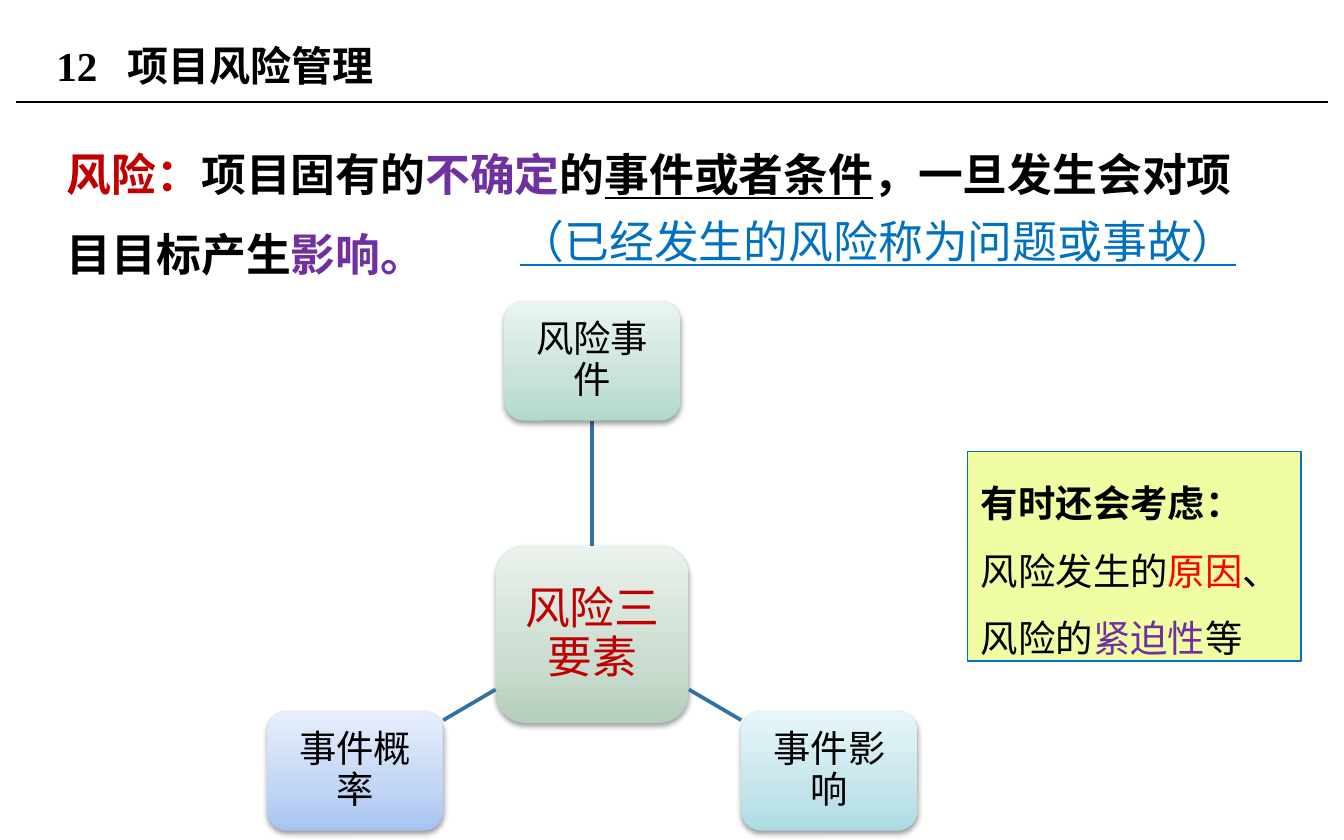
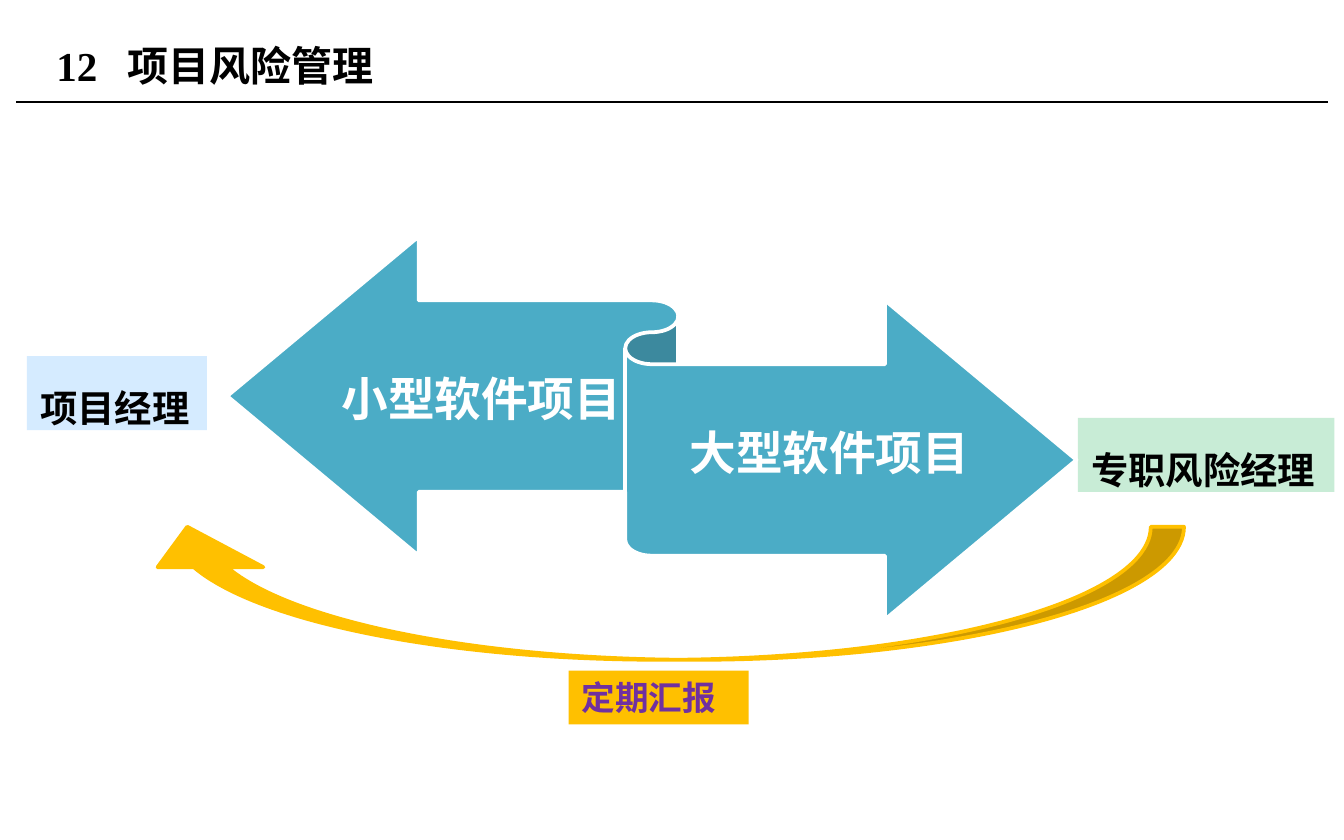
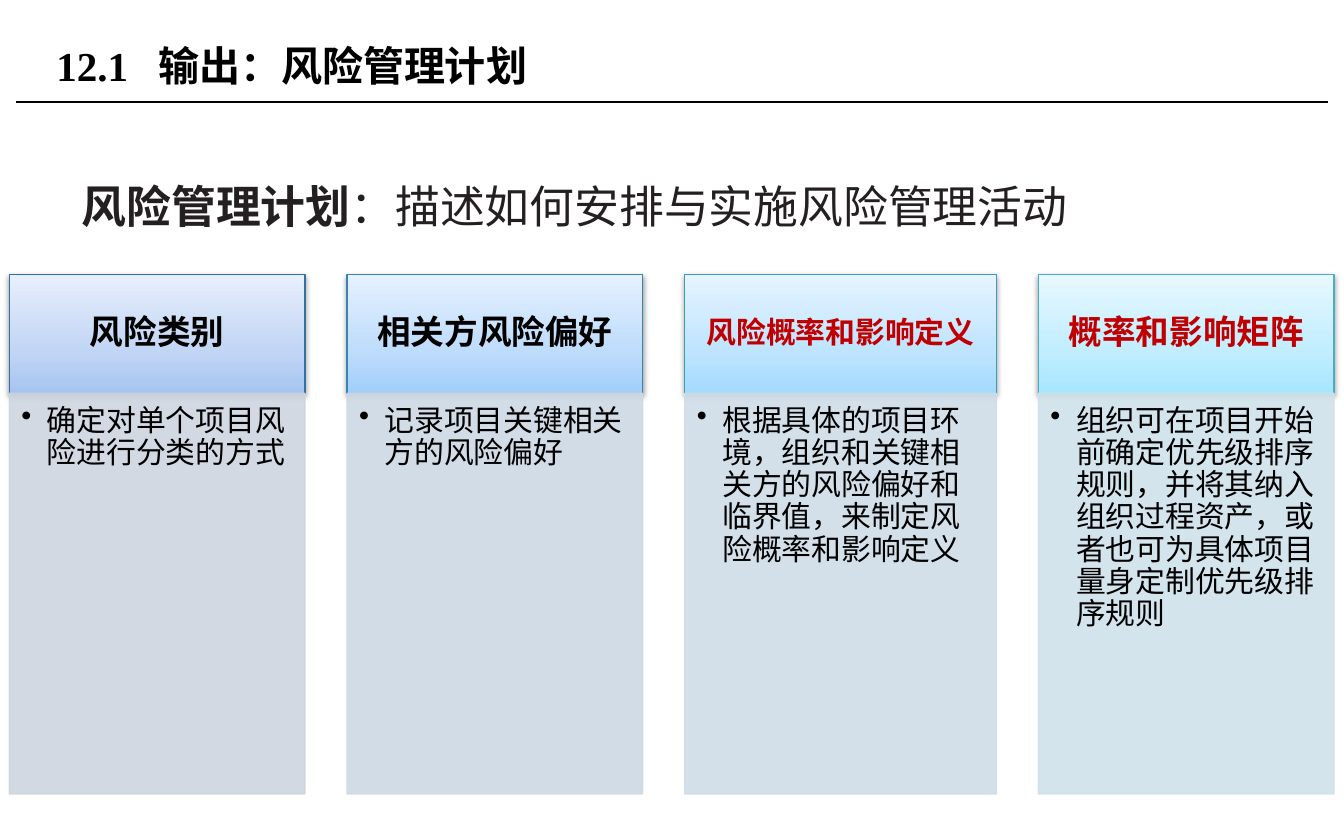
from copy import deepcopy

from lxml import etree
from pptx import Presentation
from pptx.dml.color import RGBColor
from pptx.enum.shapes import MSO_CONNECTOR, MSO_SHAPE
from pptx.enum.text import MSO_ANCHOR, MSO_AUTO_SIZE, PP_ALIGN
from pptx.oxml.ns import qn
from pptx.util import Pt

RECT, ROUNDED = MSO_SHAPE.RECTANGLE, MSO_SHAPE.ROUNDED_RECTANGLE
RIBBON, CURVED_ARROW = MSO_SHAPE.LEFT_RIGHT_RIBBON, MSO_SHAPE.CURVED_UP_ARROW
STRAIGHT = MSO_CONNECTOR.STRAIGHT
TOP, MIDDLE = MSO_ANCHOR.TOP, MSO_ANCHOR.MIDDLE
LEFT, CENTER = PP_ALIGN.LEFT, PP_ALIGN.CENTER
FIXED_SIZE = MSO_AUTO_SIZE.NONE

# Fonts
TIMES, KARLA, ROBOTO = "Times New Roman", "Karla", "Roboto"
CHINESE = "Noto Sans CJK SC"

# Colours
BLACK = RGBColor(0x00, 0x00, 0x00)
WHITE = RGBColor(0xFF, 0xFF, 0xFF)
INK = RGBColor(0x24, 0x20, 0x21)
DARK_RED = RGBColor(0xC0, 0x00, 0x00)
RED = RGBColor(0xFF, 0x00, 0x00)
PURPLE = RGBColor(0x70, 0x30, 0xA0)
BLUE = RGBColor(0x00, 0x70, 0xC0)
STEEL = RGBColor(0x33, 0x71, 0xA4)
OCEAN = RGBColor(0x38, 0x85, 0xB2)
SKY = RGBColor(0x3D, 0x9A, 0xC1)
TEAL = RGBColor(0x4B, 0xAC, 0xC6)
AMBER = RGBColor(0xFF, 0xC0, 0x00)
LIME = RGBColor(0xF0, 0xFD, 0xA3)
PALE_GREEN = RGBColor(0xC8, 0xEC, 0xD6)
PALE_BLUE = RGBColor(0xD5, 0xEB, 0xFF)
PANEL_STEEL = RGBColor(0xCE, 0xD5, 0xE0)
PANEL_OCEAN = RGBColor(0xCE, 0xD9, 0xE4)
PANEL_SKY = RGBColor(0xCF, 0xDD, 0xE7)
PANEL_TEAL = RGBColor(0xD0, 0xE2, 0xEA)

# Gradients, from the bottom edge to the top edge
GRADIENT_STOPS = (0, 0.35, 1)
SAGE_FADE = (RGBColor(0xB5, 0xCF, 0xBB), RGBColor(0xCB, 0xDD, 0xD0), RGBColor(0xEB, 0xF2, 0xED))
MINT_FADE = (RGBColor(0xB1, 0xD9, 0xCA), RGBColor(0xC9, 0xE3, 0xD9), RGBColor(0xEA, 0xF5, 0xF1))
AQUA_FADE = (RGBColor(0xAC, 0xDB, 0xE4), RGBColor(0xC5, 0xE5, 0xEB), RGBColor(0xE8, 0xF6, 0xF8))
STEEL_FADE = (RGBColor(0xA6, 0xC4, 0xF1), RGBColor(0xC1, 0xD5, 0xF4), RGBColor(0xE7, 0xEF, 0xFC))
OCEAN_FADE = (RGBColor(0xA1, 0xCE, 0xFB), RGBColor(0xBE, 0xDC, 0xFB), RGBColor(0xE5, 0xF1, 0xFF))
SKY_FADE = (RGBColor(0xA3, 0xDA, 0xFF), RGBColor(0xBE, 0xE4, 0xFF), RGBColor(0xE6, 0xF4, 0xFF))
TEAL_FADE = (RGBColor(0xA7, 0xE6, 0xFF), RGBColor(0xC1, 0xED, 0xFF), RGBColor(0xE7, 0xF8, 0xFF))


def points(*lengths):
    return [Pt(length) for length in lengths]


def add_xml(parent, tag, **attributes):
    child = etree.SubElement(parent, qn(tag))
    for key, value in attributes.items():
        child.set(key, str(value))
    return child


# Text
def write(holder, paragraphs, size, font=KARLA, color=BLACK, bold=False, align=LEFT,
          spacing=1.0, anchor=TOP, insets=(7.2, 3.6, 7.2, 3.6), prepare=None):
    """Each paragraph is a list of (text, font differences)."""
    frame = holder.text_frame
    frame.word_wrap = True
    frame.auto_size = FIXED_SIZE
    frame.vertical_anchor = anchor
    (frame.margin_left, frame.margin_top,
     frame.margin_right, frame.margin_bottom) = points(*insets)
    for index, runs in enumerate(paragraphs):
        paragraph = frame.add_paragraph() if index else frame.paragraphs[0]
        if prepare:
            prepare(paragraph._p.get_or_add_pPr())
        paragraph.alignment = align
        paragraph.line_spacing = spacing
        paragraph.font.size = Pt(size)
        paragraph.font.name = font
        paragraph.font.bold = bold
        paragraph.font.color.rgb = color
        add_xml(paragraph._p.pPr.find(qn("a:defRPr")), "a:ea", typeface=CHINESE)
        for text, differences in runs:
            run = paragraph.add_run()
            run.text = text
            for key, value in differences.items():
                if key == "color":
                    run.font.color.rgb = value
                else:
                    setattr(run.font, key, value)


def plain(text):
    return [[(text, {})]]


def add_text(slide, box, paragraphs, size, **style):
    write(slide.shapes.add_textbox(*points(*box)), paragraphs, size, **style)


def add_bullet(properties):
    properties.set("marL", str(Pt(13.7)))
    properties.set("indent", str(Pt(-13.7)))
    add_xml(properties, "a:buChar", char="•")


# Shapes and lines
def add_block(slide, kind, box, fill, line=None, weight=0.75):
    block = slide.shapes.add_shape(kind, *points(*box))
    block.shadow.inherit = False
    if isinstance(fill, RGBColor):
        block.fill.solid()
        block.fill.fore_color.rgb = fill
    else:
        fade(block, fill)
    if line is None:
        block.line.fill.background()
    else:
        block.line.color.rgb = line
        block.line.width = Pt(weight)
    return block


def fade(block, colors):
    """Three-colour vertical gradient with a soft shadow below."""
    block.fill.gradient()
    block.fill.gradient_angle = 90
    properties = block._element.spPr
    stops = properties.find(".//" + qn("a:gsLst"))
    stops.insert(1, deepcopy(stops[0]))
    for stop, position, color in zip(block.fill.gradient_stops, GRADIENT_STOPS, colors):
        stop.position = position
        stop.color.rgb = color
    shadow = add_xml(properties.find(qn("a:effectLst")), "a:outerShdw", blurRad=Pt(3.1),
                     dist=Pt(1.6), dir=5400000, rotWithShape=0)
    add_xml(add_xml(shadow, "a:srgbClr", val=BLACK), "a:alpha", val=38000)


def make_translucent(block, percent):
    for color in block._element.spPr.iter(qn("a:srgbClr")):
        add_xml(color, "a:alpha", val=percent * 1000)


def add_line(slide, start, end, color, weight):
    line = slide.shapes.add_connector(STRAIGHT, *points(*start, *end))
    line.line.color.rgb = color
    line.line.width = Pt(weight)
    add_xml(line._element.spPr, "a:effectLst")


def add_label(slide, box, text, fill, size=20, **style):
    write(add_block(slide, RECT, box, fill), plain(text), size, bold=True, **style)


# Shared slide frame: numbered title over a thin rule
def add_titled_slide(prs, number, heading, heading_offset, title_width=459.4):
    def add_tab(properties):
        add_xml(add_xml(properties, "a:tabLst"), "a:tab", pos=Pt(heading_offset), algn="l")

    slide = prs.slides.add_slide(prs.slide_layouts[5])
    add_line(slide, (8.6, 54.7), (711.4, 54.7), BLACK, 0.75)
    title = slide.shapes.title
    title.left, title.top, title.width, title.height = points(23, 9.4, title_width, 51.1)
    write(title, plain(f"{number}\t{heading}"), 22, font=TIMES, bold=True,
          anchor=MIDDLE, prepare=add_tab)
    return slide


# Slide 1: definition and the three elements of risk
def add_element(slide, center, size, text, colors, text_size=20, color=BLACK, inset=4.5):
    (x, y), (width, height) = center, size
    element = add_block(slide, ROUNDED, (x - width / 2, y - height / 2, width, height), colors)
    write(element, plain(text), text_size, color=color, align=CENTER, spacing=0.9,
          anchor=MIDDLE, insets=[inset] * 4)


def build_risk_elements(prs):
    slide = add_titled_slide(prs, "12", "项目风险管理", 38)
    add_text(slide, (28.8, 60.5, 660.2, 280.8), [[
        ("风险：", {"color": DARK_RED}),
        ("项目固有的", {}),
        ("不确定", {"color": PURPLE}),
        ("的", {}),
        ("事件或者条件", {"underline": True}),
        ("，一旦发生会对项目目标产生", {}),
        ("影响。", {"color": PURPLE}),
    ]], 24, font=CHINESE, bold=True, spacing=1.5)
    add_text(slide, (271.4, 110.9, 401.8, 36),
             [[("（已经发生的风险称为问题或事故）", {"underline": True})]],
             24, font=CHINESE, color=BLUE)

    hub_x, hub_y, reach = 317.3, 339.8, 127
    add_element(slide, (hub_x, hub_y), (103, 95), "风险三要素", SAGE_FADE, 24, DARK_RED, 5)
    add_line(slide, (hub_x, 292.3), (hub_x, 225.4), STEEL, 2)
    for side in (1, -1):
        add_line(slide, (hub_x + side * 51.8, 369.4), (hub_x + side * 79.8, 385.8), STEEL, 2)
    for x, y, text, colors in (
        (hub_x, 193.3, "风险事件", MINT_FADE),
        (hub_x + reach, 413, "事件影响", AQUA_FADE),
        (hub_x - reach, 413, "事件概率", STEEL_FADE),
    ):
        add_element(slide, (x, y), (94.3, 64), text, colors)

    considerations = add_block(slide, RECT, (518.4, 241.9, 178.6, 112.3), LIME, BLUE)
    write(considerations, [
        [("有时还会考虑：", {"bold": True})],
        [("风险发生的", {}), ("原因", {"color": RED}), ("、", {})],
        [("风险的", {}), ("紧迫性", {"color": PURPLE}), ("等", {})],
    ], 20, spacing=1.5)


# Slide 2: who manages risk in small and large projects
def build_responsibilities(prs):
    slide = add_titled_slide(prs, "12", "项目风险管理", 38, 524.2)
    add_label(slide, (577.4, 223.9, 137.5, 39.6), "专职风险经理", PALE_GREEN,
              font=TIMES, spacing=1.5)
    add_block(slide, RIBBON, (121.7, 126.7, 455, 205.2), TEAL, WHITE, 2)
    for box, runs in (
        ((182.9, 170.6, 149.8, 89.3), [("小型软件项目", {})]),
        ((355.7, 199.4, 177.1, 89.3), [("大型", {"name": KARLA}), ("软件项目", {})]),
    ):
        add_text(slide, box, [runs], 25, font=TIMES, color=WHITE, bold=True, align=CENTER,
                 spacing=0.9, anchor=MIDDLE, insets=(0, 7.2, 0, 7.2))
    add_label(slide, (14.4, 190.8, 96.5, 39.6), "项目经理", PALE_BLUE,
              font=TIMES, spacing=1.5)

    reporting = add_block(slide, CURVED_ARROW, (72, 282.2, 562.3, 71.3), AMBER, AMBER, 2)
    for index, proportion in enumerate((0.25, 0.795, 0.304)):
        reporting.adjustments[index] = proportion
    reporting._element.spPr.find(qn("a:xfrm")).set("flipH", "1")
    add_label(slide, (304.6, 359.3, 96.5, 28.8), "定期汇报", AMBER, 18, color=PURPLE)


# Slide 3: contents of the risk management plan
def add_plan_column(slide, left, width, heading, detail, colors, edge, panel,
                    size=18, color=BLACK, insets=(10, 5.8, 10, 5.8)):
    header = add_block(slide, RECT, (left, 147, width, 63.7), colors, edge)
    write(header, plain(heading), size, color=color, bold=True, align=CENTER, spacing=0.9,
          anchor=MIDDLE, insets=insets)
    body = add_block(slide, RECT, (left, 210.7, width, 214.6), panel, panel)
    make_translucent(body, 90)
    write(body, plain(detail), 16, spacing=0.9, insets=(6.5, 6.5, 8.6, 10),
          prepare=add_bullet)


def build_plan(prs):
    slide = add_titled_slide(prs, "12.1", "输出：风险管理计划", 54.5)
    add_text(slide, (36.7, 77.8, 646.6, 280.8),
             [[("风险管理计划", {"bold": True}), ("：描述如何安排与实施风险管理活动", {})]],
             24, font=ROBOTO, color=INK, spacing=1.5)

    left, gap = 5, 22.5
    for width, heading, detail, colors, edge, panel, style in (
        (158.4, "风险类别", "确定对单个项目风险进行分类的方式",
         STEEL_FADE, STEEL, PANEL_STEEL, {}),
        (158.4, "相关方风险偏好", "记录项目关键相关方的风险偏好",
         OCEAN_FADE, OCEAN, PANEL_OCEAN, {}),
        (167, "风险概率和影响定义",
         "根据具体的项目环境，组织和关键相关方的风险偏好和临界值，来制定风险概率和影响定义",
         SKY_FADE, SKY, PANEL_SKY,
         {"size": 16, "color": DARK_RED, "insets": (8.6, 5, 8.6, 5)}),
        (158.4, "概率和影响矩阵",
         "组织可在项目开始前确定优先级排序规则，并将其纳入组织过程资产，"
         "或者也可为具体项目量身定制优先级排序规则",
         TEAL_FADE, TEAL, PANEL_TEAL, {"color": DARK_RED}),
    ):
        add_plan_column(slide, left, width, heading, detail, colors, edge, panel, **style)
        left += width + gap


def main():
    prs = Presentation()
    prs.slide_width, prs.slide_height = points(720, 450)
    build_risk_elements(prs)
    build_responsibilities(prs)
    build_plan(prs)
    prs.save("out.pptx")


if __name__ == "__main__":
    main()
